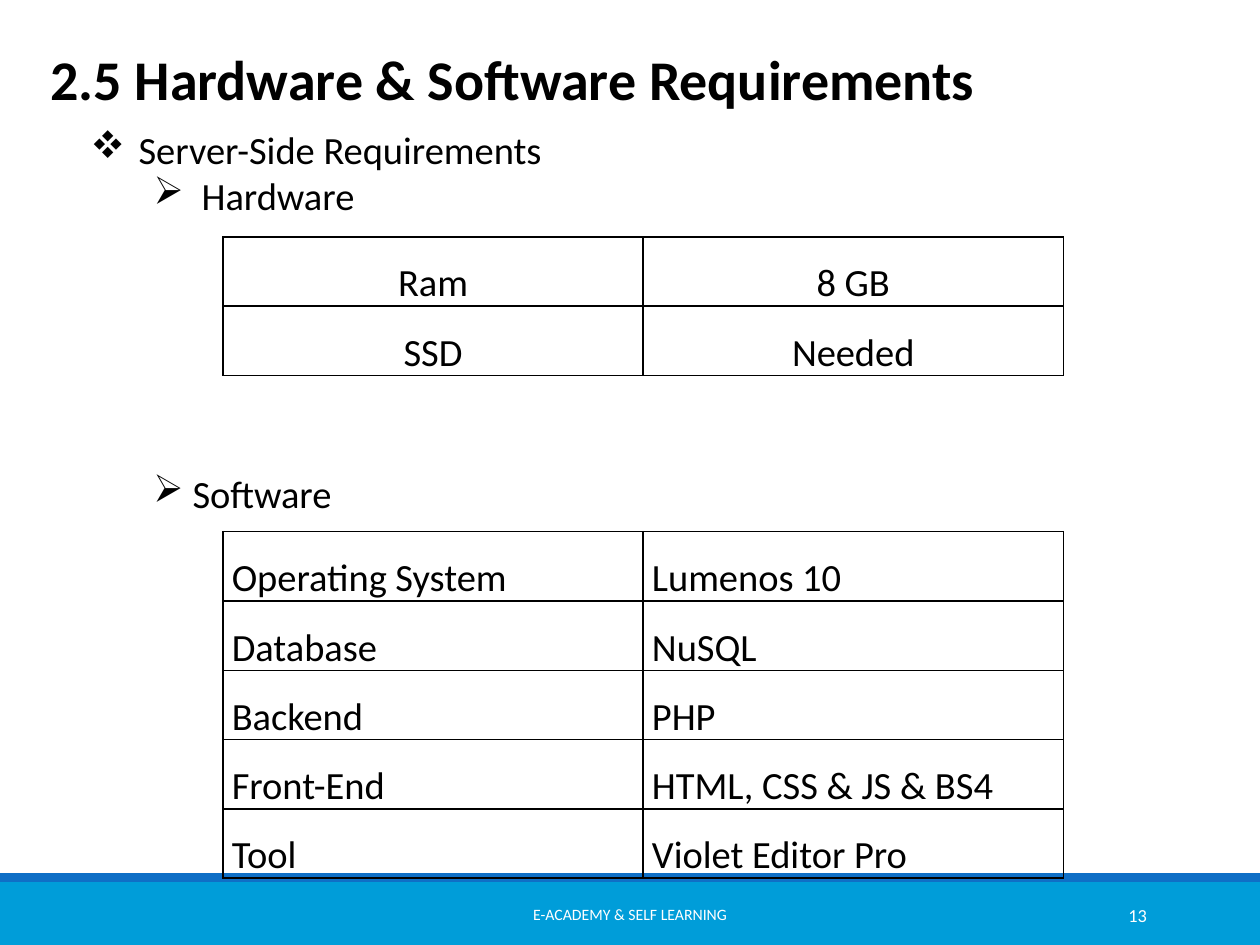
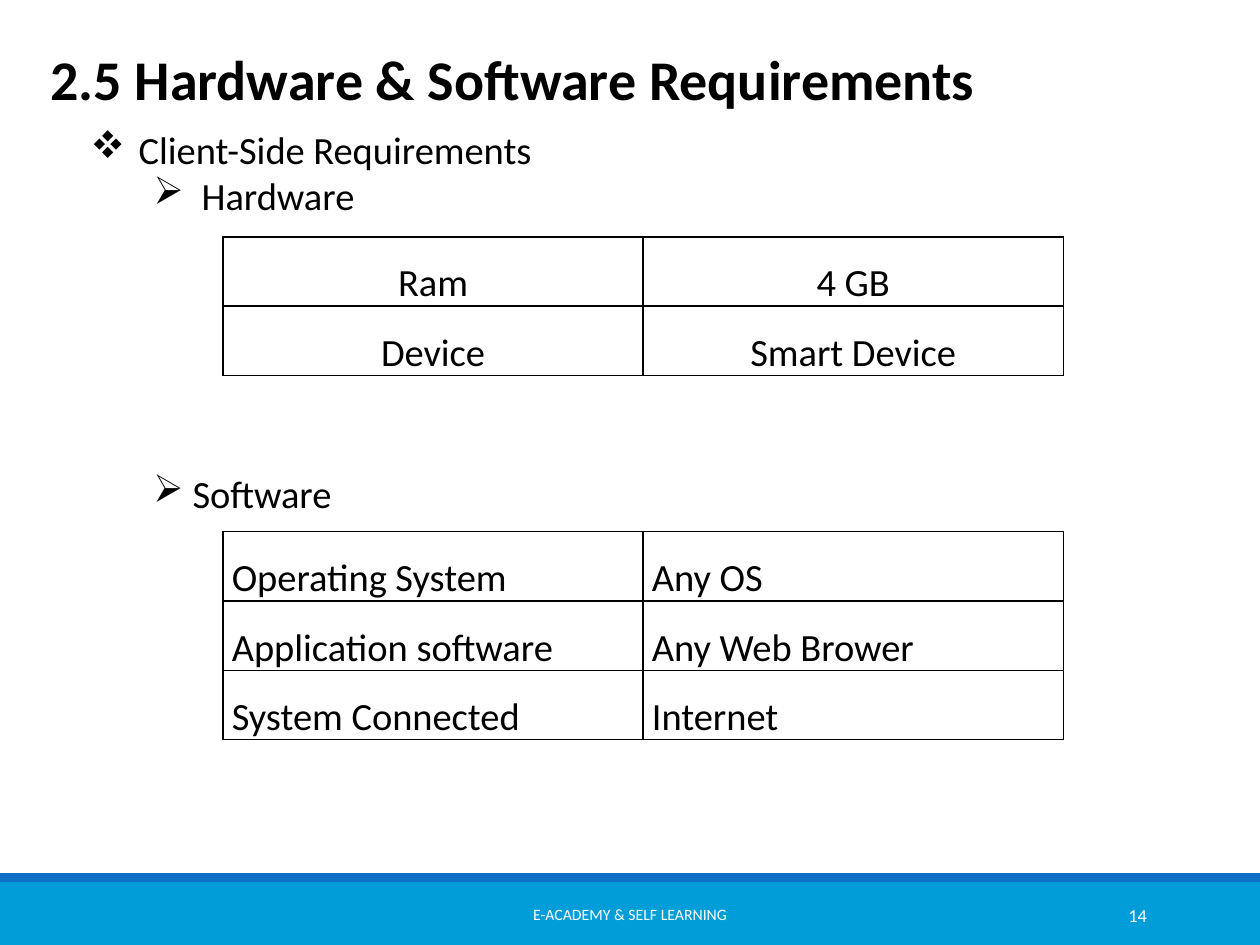
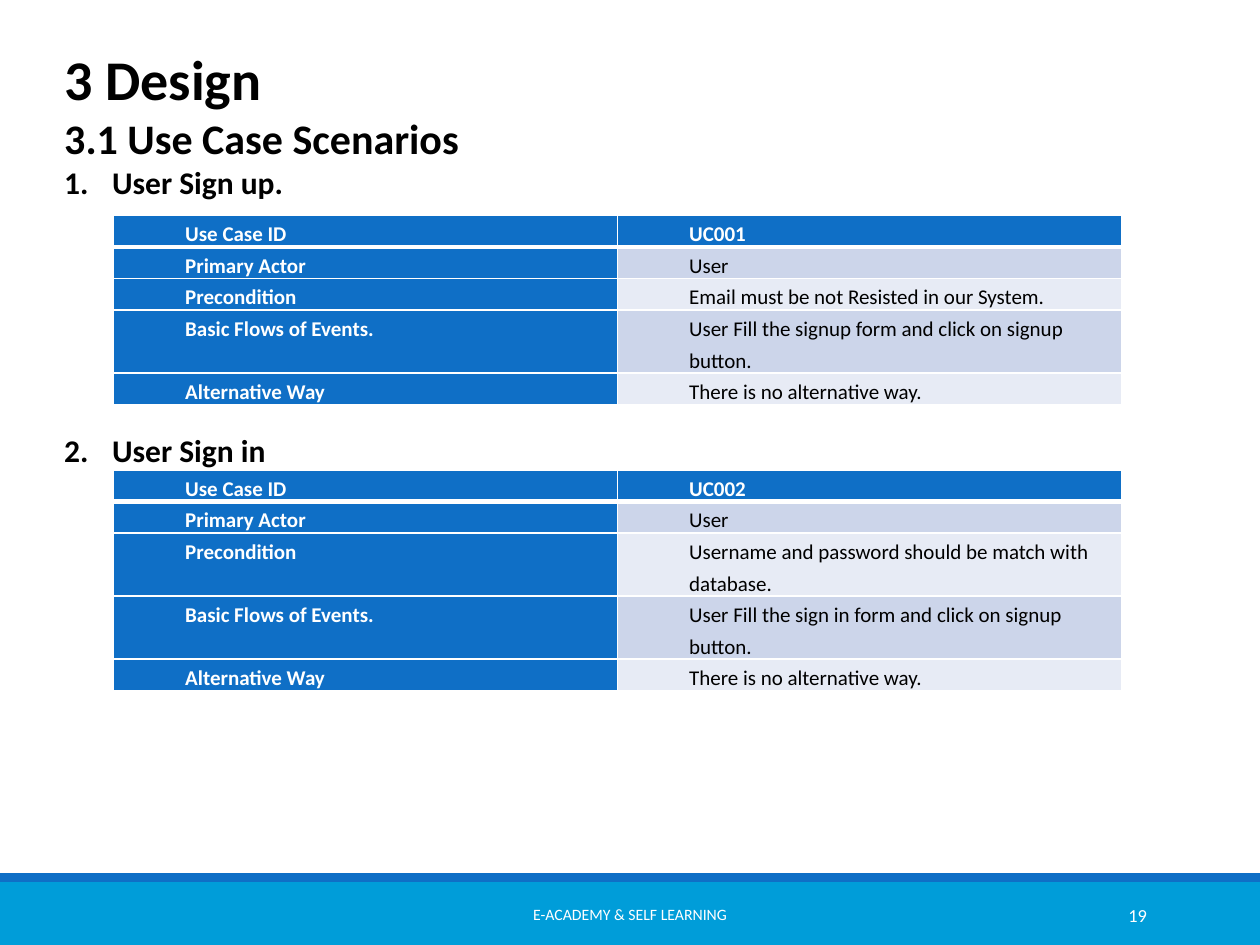
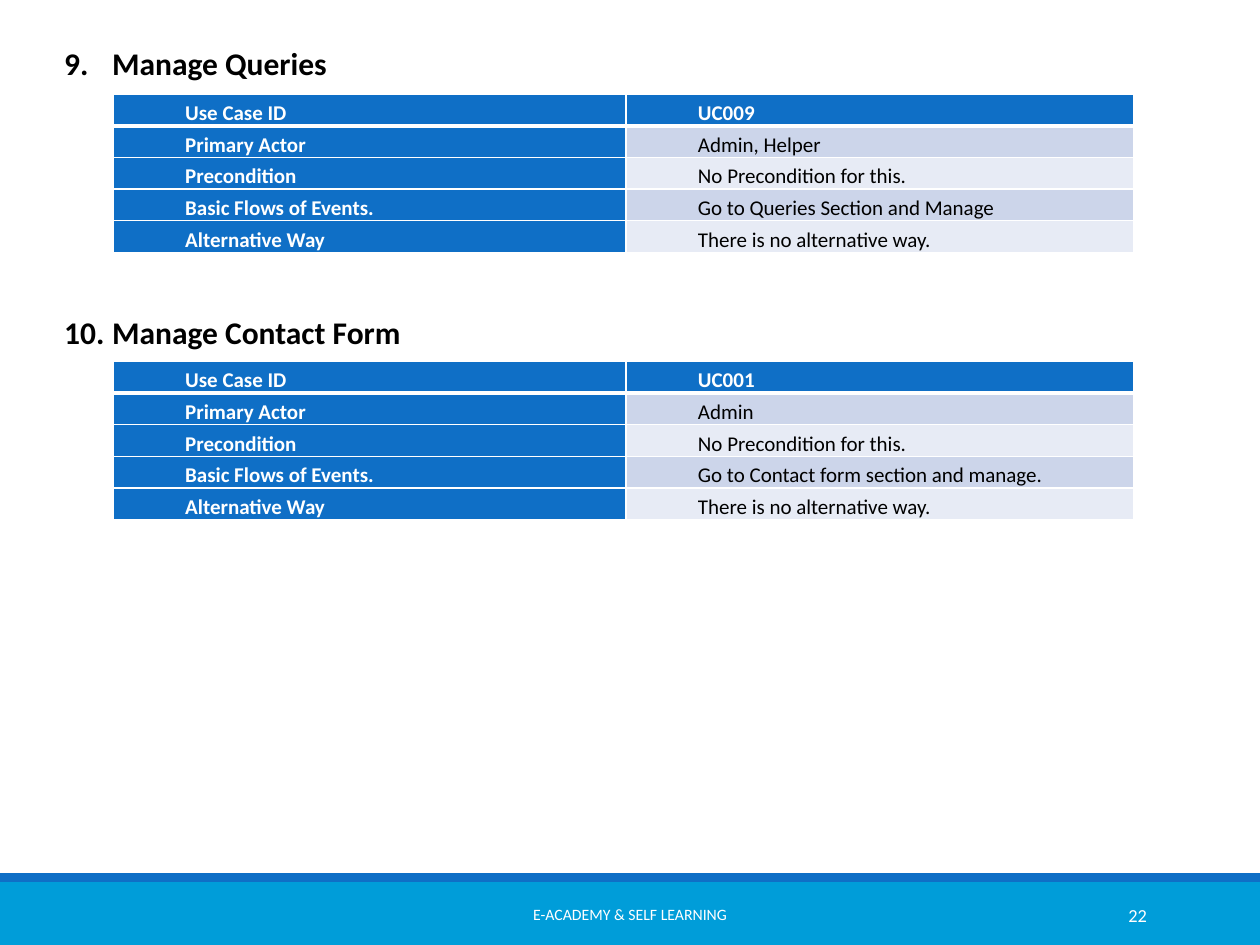
from lxml.etree import SubElement
from pptx import Presentation
from pptx.dml.color import RGBColor
from pptx.enum.shapes import MSO_SHAPE
from pptx.enum.text import MSO_ANCHOR, MSO_AUTO_SIZE, PP_ALIGN
from pptx.oxml import parse_xml
from pptx.oxml.ns import nsdecls, qn
from pptx.util import Inches, Pt

BLACK = RGBColor(0x00, 0x00, 0x00)
WHITE = RGBColor(0xFF, 0xFF, 0xFF)
BLUE = RGBColor(0x0F, 0x6F, 0xC6)
CYAN = RGBColor(0x00, 0x9D, 0xD9)
ROW_TINTS = [RGBColor(0xE7, 0xEB, 0xF5), RGBColor(0xCC, 0xD5, 0xEA)]

FONT = "Calibri"
FOOTER = "E-ACADEMY & SELF LEARNING"
DIAMOND = ("buChar", {"char": "v"})
ARROW = ("buChar", {"char": "\u00d8"})
NUMBER = ("buAutoNum", {"type": "arabicPeriod"})
NUMBER_FROM_9 = ("buAutoNum", {"type": "arabicPeriod", "startAt": "9"})

deck = Presentation()
deck.slide_width, deck.slide_height = Inches(10), Inches(7.5)
COLUMN, ROW = deck.slide_width / 100, deck.slide_height / 75


def frame(left, top, width, height):
    return (round(left * COLUMN), round(top * ROW),
            round(width * COLUMN), round(height * ROW))


def write(paragraph, text, size=22, bold=False, color=BLACK, align=PP_ALIGN.LEFT,
          level=0, margin=0, indent=0, spacing=1.0, before=0, after=0, bullet=None):
    run = paragraph.add_run()
    run.text = text
    run.font.name, run.font.size, run.font.bold = FONT, Pt(size), bold
    run.font.color.rgb = color
    paragraph.alignment = align
    paragraph.level = level
    paragraph.line_spacing = spacing
    paragraph.space_before, paragraph.space_after = Pt(before), Pt(after)
    properties = paragraph._p.get_or_add_pPr()
    properties.set("marL", str(round(margin * COLUMN)))
    properties.set("indent", str(round(indent * COLUMN)))
    tag, attributes = bullet or ("buNone", {})
    if tag == "buChar":
        SubElement(properties, qn("a:buFont"), typeface="Wingdings")
    SubElement(properties, qn("a:" + tag), **attributes)


REQUIREMENTS = dict(
    title="2.5 Hardware & Software Requirements",
    title_frame=(3, 0.4, 83.6, 8.3),
    title_format=dict(align=PP_ALIGN.JUSTIFY, spacing=1.5),
    body_frame=(6.2, 9.5, 64.4, 8.4),
    second_heading="Software",
    columns=(33.35, 33.35), left=17.7, tops=(18.8, 42.2), row_height=5.5,
    styled=False,
)
SCENARIOS = dict(
    title_frame=(4.1, 3, 93.9, 6.4),
    title_format={},
    second_heading=None,
    left=9, row_height=2.5, styled=True,
)
SCENARIO_FIELDS = ["Use Case ID", "Primary Actor", "Precondition",
                   "Basic Flows of Events.", "Alternative Way"]
NO_ALTERNATIVE = "There is no alternative way."
NO_PRECONDITION = "No Precondition for this."
NUMBERED = dict(size=18, bold=True, margin=3.8, indent=-3.8)
DIAMOND_LINE = dict(margin=3.8, indent=-3.8, bullet=DIAMOND)
ARROW_LINE = dict(level=1, margin=8.8, indent=-3.8, bullet=ARROW)

pages = [
    dict(REQUIREMENTS, number=13,
         body=[("Server-Side Requirements", DIAMOND_LINE), ("Hardware", ARROW_LINE)],
         tables=[
             [("Ram", "8 GB"), ("SSD", "Needed")],
             [("Operating System", "Lumenos 10"), ("Database", "NuSQL"),
              ("Backend", "PHP"), ("Front-End", "HTML, CSS & JS & BS4"),
              ("Tool", "Violet Editor Pro")],
         ]),
    dict(REQUIREMENTS, number=14,
         body=[("Client-Side Requirements", DIAMOND_LINE), ("Hardware", ARROW_LINE)],
         tables=[
             [("Ram", "4 GB"), ("Device", "Smart Device")],
             [("Operating System", "Any OS"),
              ("Application software", "Any Web Brower"),
              ("System Connected", "Internet")],
         ]),
    dict(SCENARIOS, number=19, title="3 Design",
         body_frame=(4.1, 8.4, 93.9, 47.4),
         body=[("3.1 Use Case Scenarios", dict(size=24, bold=True)),
               ("User Sign up.", dict(NUMBERED, bullet=NUMBER)),
               ("User Sign in", dict(NUMBERED, bullet=NUMBER, before=132))],
         columns=(40, 40), tops=(17.1, 37.3),
         tables=[
             list(zip(SCENARIO_FIELDS, [
                 "UC001", "User", "Email must be not Resisted in our System.",
                 "User Fill the signup form and click on signup button.",
                 NO_ALTERNATIVE])),
             list(zip(SCENARIO_FIELDS, [
                 "UC002", "User", "Username and password should be match with database.",
                 "User Fill the sign in form and click on signup button.",
                 NO_ALTERNATIVE])),
         ]),
    dict(SCENARIOS, number=22, title=None,
         body_frame=(4.1, 3, 93.9, 28.3),
         body=[("Manage Queries", dict(NUMBERED, bullet=NUMBER_FROM_9)),
               ("Manage Contact Form", dict(NUMBERED, bullet=NUMBER_FROM_9, before=132))],
         columns=(40.7, 40.3), tops=(7.5, 28.7),
         tables=[
             list(zip(SCENARIO_FIELDS, [
                 "UC009", "Admin, Helper", NO_PRECONDITION,
                 "Go to Queries Section and Manage", NO_ALTERNATIVE])),
             list(zip(SCENARIO_FIELDS, [
                 "UC001", "Admin", NO_PRECONDITION,
                 "Go to Contact form section and manage.", NO_ALTERNATIVE])),
         ]),
]

slides = [deck.slides.add_slide(deck.slide_layouts[1]) for page in pages]

master_tree = deck.slide_master.shapes.element
for order, (top, height, color) in enumerate([(70, 5, CYAN), (69.3, 0.7, BLUE)]):
    band = slides[0].shapes.add_shape(MSO_SHAPE.RECTANGLE, *frame(0, top, 100, height))
    band.shadow.inherit = False
    band.fill.solid()
    band.fill.fore_color.rgb = color
    band.line.fill.background()
    band.element.xpath(".//p:cNvPr")[0].set("id", str(100 + order))
    master_tree.insert(2 + order, band.element)

for slide, page in zip(slides, pages):
    for text, left, width, size, align in [
        (FOOTER, 30.2, 39.6, 9, PP_ALIGN.CENTER),
        (str(page["number"]), 81.2, 10.8, 10.5, PP_ALIGN.RIGHT),
    ]:
        footer = slide.shapes.add_textbox(*frame(left, 70.6, width, 4)).text_frame
        footer.word_wrap = True
        footer.vertical_anchor = MSO_ANCHOR.MIDDLE
        write(footer.paragraphs[0], text, size=size, color=WHITE, align=align)

    title, body = slide.placeholders
    if page["title"]:
        title.left, title.top, title.width, title.height = frame(*page["title_frame"])
        title.text_frame.auto_size = MSO_AUTO_SIZE.NONE
        title.text_frame.vertical_anchor = MSO_ANCHOR.TOP
        write(title.text_frame.paragraphs[0], page["title"], size=32, bold=True,
              **page["title_format"])
    else:
        title.element.getparent().remove(title.element)

    body.left, body.top, body.width, body.height = frame(*page["body_frame"])
    body.text_frame.auto_size = MSO_AUTO_SIZE.NONE
    for index, (text, line_format) in enumerate(page["body"]):
        line = body.text_frame.add_paragraph() if index else body.text_frame.paragraphs[0]
        write(line, text, **line_format)

    if page["second_heading"]:
        heading = slide.shapes.add_textbox(*frame(6.2, 35, 50, 6)).text_frame
        heading.word_wrap = True
        write(heading.paragraphs[0], page["second_heading"], level=1, margin=8.1,
              indent=-3.1, spacing=1.5, after=10, bullet=ARROW)

    styled = page["styled"]
    border_color = WHITE if styled else BLACK
    for position, (top, entries) in enumerate(zip(page["tables"] and page["tops"], page["tables"])):
        table = slide.shapes.add_table(len(entries), 2, *frame(
            page["left"], top, sum(page["columns"]),
            len(entries) * page["row_height"])).table
        table.first_row = styled
        table.first_col = styled
        table.horz_banding = styled
        for column, share in zip(table.columns, page["columns"]):
            column.width = round(share * COLUMN)
        for row_index, entry in enumerate(entries):
            for column_index, text in enumerate(entry):
                cell = table.cell(row_index, column_index)
                cell.margin_left = cell.margin_right = round(0.7 * COLUMN)
                cell.margin_top = cell.margin_bottom = 0
                line = cell.text_frame.paragraphs[0]
                if styled:
                    label = row_index == 0 or column_index == 0
                    cell.fill.solid()
                    cell.fill.fore_color.rgb = BLUE if label else ROW_TINTS[row_index % 2]
                    write(line, text, size=12, bold=label,
                          color=WHITE if label else BLACK, margin=5,
                          spacing=1.25, after=10 * column_index)
                else:
                    cell.fill.background()
                    write(line, text, spacing=1.5,
                          align=PP_ALIGN.LEFT if position else PP_ALIGN.CENTER)
                weights = dict(
                    lnL=1, lnR=1,
                    lnT=3 if styled and row_index == 1 else 1,
                    lnB=3 if styled and row_index == 0 else 1)
                cell_properties = cell._tc.get_or_add_tcPr()
                for order, (side, weight) in enumerate(weights.items()):
                    cell_properties.insert(order, parse_xml(
                        f'<a:{side} {nsdecls("a")} w="{Pt(weight)}"><a:solidFill>'
                        f'<a:srgbClr val="{border_color}"/></a:solidFill></a:{side}>'))

deck.save("out.pptx")
